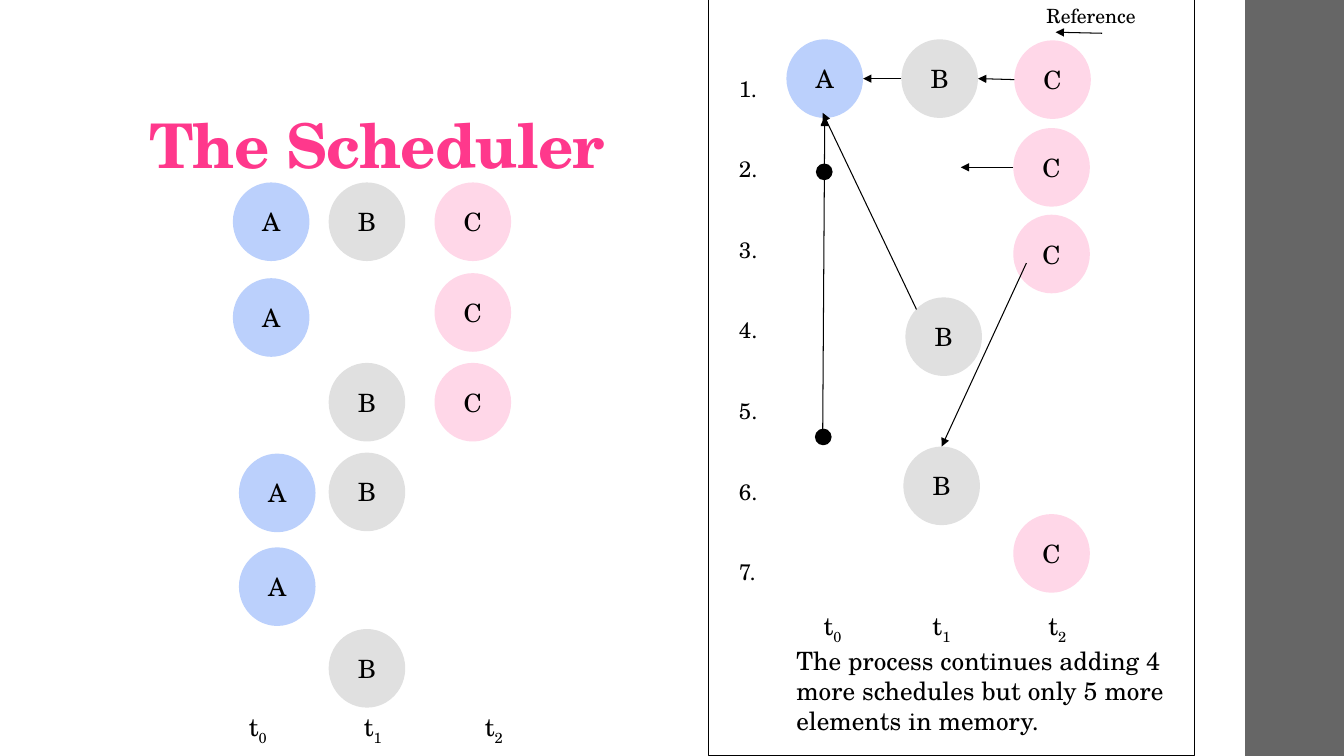
from lxml import etree
from pptx import Presentation
from pptx import util as u
from pptx.dml.color import RGBColor
from pptx.enum import shapes, text
from pptx.oxml import ns

PX = 9144
FONT = "TeX Gyre Schola"
BLACK = RGBColor(0, 0, 0)
GRAY = RGBColor(0x66, 0x66, 0x66)
PINK = RGBColor(0xFF, 0x38, 0x8C)
TASK_COLORS = {
    "A": RGBColor(0xBB, 0xD0, 0xFC),
    "B": RGBColor(0xE0, 0xE0, 0xE0),
    "C": RGBColor(0xFF, 0xD7, 0xE8),
}
SCHEDULE_TASKS = [
    ("A", 231, 181), ("A", 231, 276), ("A", 237, 450), ("A", 237, 543),
    ("B", 326, 181), ("B", 326, 360), ("B", 326, 449), ("B", 326, 624),
    ("C", 431, 181), ("C", 431, 271), ("C", 431, 360),
]
MEMORY_TASKS = [
    ("A", 780, 39),
    ("B", 894, 39), ("B", 898, 295), ("B", 896, 443),
    ("C", 1006, 40), ("C", 1005, 127), ("C", 1005, 213), ("C", 1005, 510),
]
REFERENCES = [
    (818, 168, 818, 117), (894, 78, 856, 78), (1093, 33, 1047, 32),
    (1018, 261, 934, 443), (909, 307, 816, 112), (816, 426, 818, 116),
    (1005, 166, 953, 166), (1006, 79, 970, 78),
]


def px(*lengths):
    return [u.Emu(length * PX) for length in lengths]


def add_run(paragraph, content, size=18, color=BLACK, bold=False):
    run = paragraph.add_run()
    run.text = content
    run.font.name = FONT
    run.font.size = u.Pt(size)
    run.font.color.rgb = color
    run.font.bold = bold
    return run


def add_shape(slide, kind, box, fill=None, line=None, width=0.75):
    shape = slide.shapes.add_shape(kind, *px(*box))
    shape.shadow.inherit = False
    if fill is None:
        shape.fill.background()
    else:
        shape.fill.solid()
        shape.fill.fore_color.rgb = fill
    if line is None:
        shape.line.fill.background()
    else:
        shape.line.color.rgb = line
        shape.line.width = u.Pt(width)
    return shape


def add_task(slide, name, left, top):
    shape = add_shape(slide, shapes.MSO_SHAPE.OVAL, (left, top, 76, 78), TASK_COLORS[name])
    shape.text_frame.vertical_anchor = text.MSO_ANCHOR.MIDDLE
    paragraph = shape.text_frame.paragraphs[0]
    paragraph.alignment = text.PP_ALIGN.CENTER
    add_run(paragraph, name)


def add_dot(slide, left, top):
    add_shape(slide, shapes.MSO_SHAPE.OVAL, (left, top, 15, 15), BLACK, BLACK, 1.1)


def add_reference(slide, start_x, start_y, end_x, end_y):
    connector = slide.shapes.add_connector(
        shapes.MSO_CONNECTOR.STRAIGHT, *px(start_x, start_y, end_x, end_y))
    connector.line.color.rgb = BLACK
    connector.line.width = u.Pt(0.75)
    line = connector.line._get_or_add_ln()
    etree.SubElement(line, ns.qn("a:tailEnd"), type="triangle")
    etree.SubElement(connector._element.spPr, ns.qn("a:effectLst"))


def add_text_box(slide, *box):
    frame = slide.shapes.add_textbox(*px(*box)).text_frame
    frame.word_wrap = True
    return frame


def add_time_labels(paragraph, stops):
    tabs = etree.SubElement(paragraph._p.get_or_add_pPr(), ns.qn("a:tabLst"))
    for index, stop in enumerate(stops):
        if stop:
            etree.SubElement(tabs, ns.qn("a:tab"), pos=str(stop * PX), algn="l")
        add_run(paragraph, "\tt" if stop else "t")
        subscript = add_run(paragraph, str(index))
        subscript._r.get_or_add_rPr().set("baseline", "-25000")


def add_title(slide):
    frame = add_text_box(slide, 138, 29, 1060, 156)
    frame.vertical_anchor = text.MSO_ANCHOR.BOTTOM
    frame.margin_top = u.Inches(0.03)
    paragraph = frame.paragraphs[0]
    paragraph.line_spacing = 0.9
    run = add_run(paragraph, "The Scheduler", 44, PINK, True)
    run._r.get_or_add_rPr().set("spc", "-50")


def add_step_numbers(slide):
    frame = add_text_box(slide, 723, 56, 55, 565)
    for step in range(1, 8):
        paragraph = frame.paragraphs[0] if step == 1 else frame.add_paragraph()
        paragraph.line_spacing = 1.5
        paragraph.space_after = u.Pt(28.8)
        add_run(paragraph, f"{step}.", 16)


def main():
    presentation = Presentation()
    presentation.slide_width, presentation.slide_height = px(1333, 750)
    slide = presentation.slides.add_slide(presentation.slide_layouts[6])

    add_shape(slide, shapes.MSO_SHAPE.RECTANGLE, (1235, 0, 98, 750), GRAY)
    add_title(slide)
    for task in SCHEDULE_TASKS + MEMORY_TASKS:
        add_task(slide, *task)

    schedule_times = add_text_box(slide, 237, 701, 323, 40)
    add_time_labels(schedule_times.paragraphs[0], (0, 114, 234))
    memory_times = add_text_box(slide, 780, 601, 405, 131)
    add_time_labels(memory_times.paragraphs[0], (27, 135, 250))
    add_run(memory_times.add_paragraph(),
            "The process continues adding 4 more schedules "
            "but only 5 more elements in memory.")
    add_step_numbers(slide)

    legend = add_text_box(slide, 1028, -1, 132, 34)
    add_run(legend.paragraphs[0], "Reference", 14)
    for reference in REFERENCES:
        add_reference(slide, *reference)
    add_dot(slide, 810, 163)
    add_dot(slide, 809, 426)
    add_shape(slide, shapes.MSO_SHAPE.RECTANGLE, (703, 0, 482, 750), line=BLACK)

    presentation.save("out.pptx")


if __name__ == "__main__":
    main()
